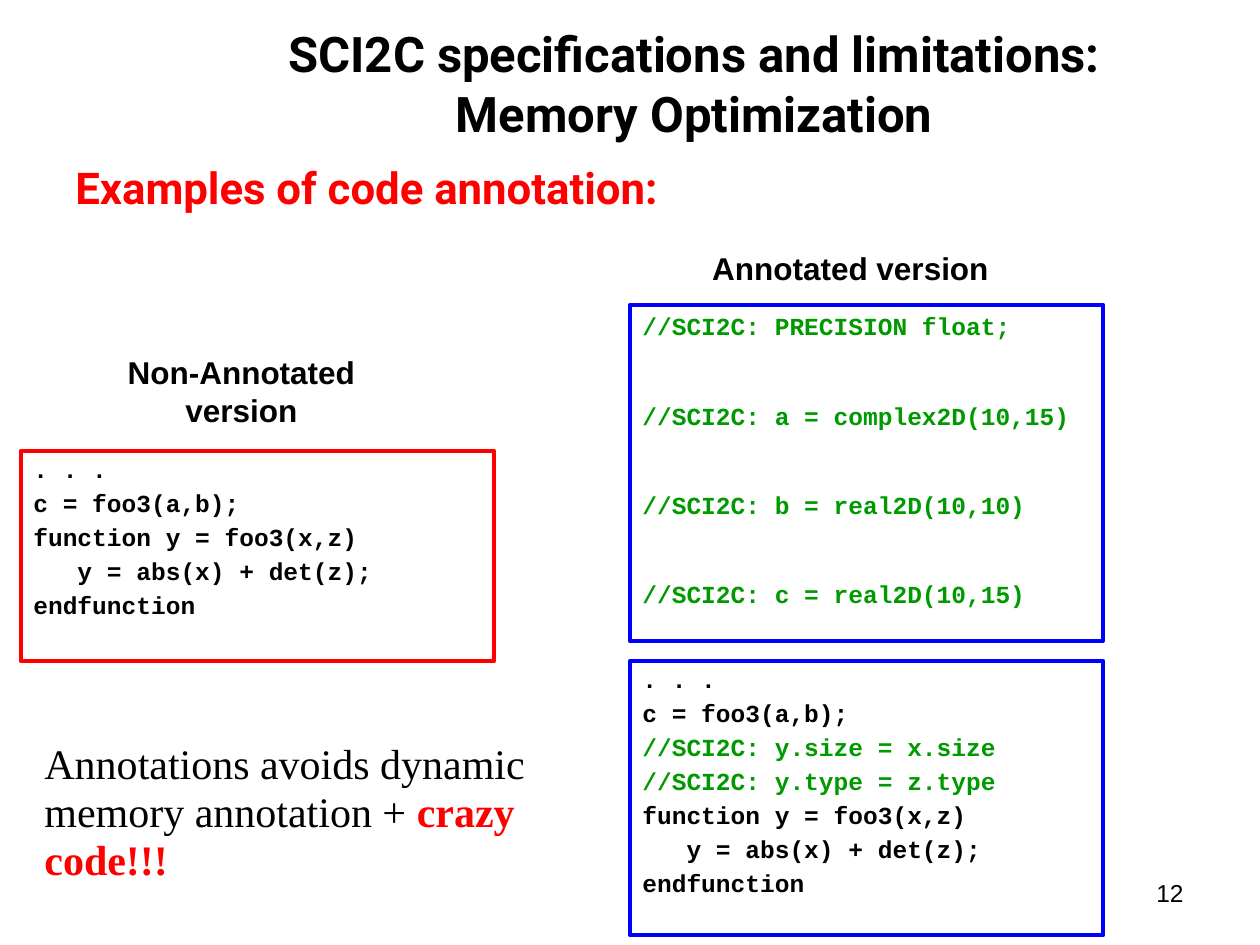
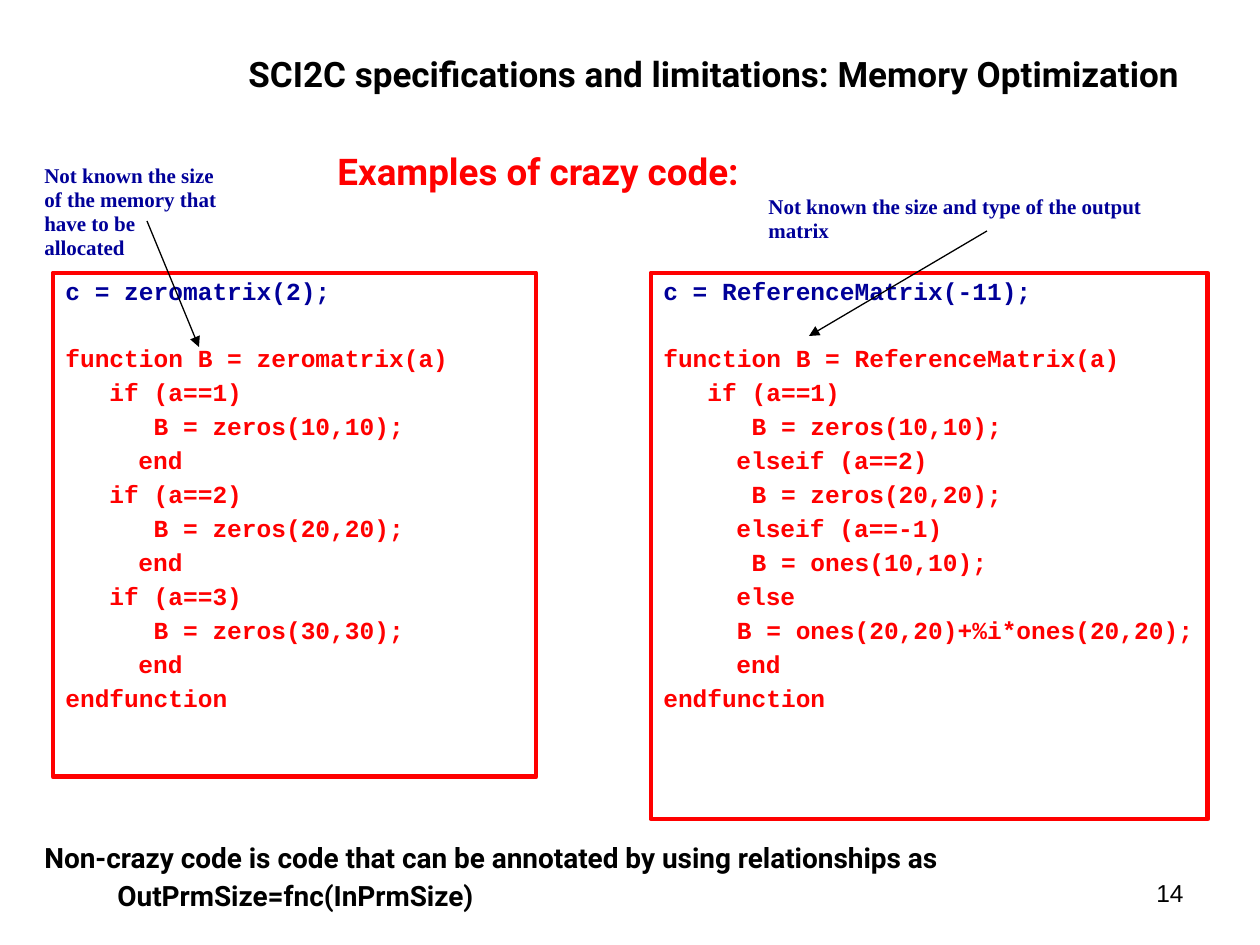
import dataclasses

import lxml.etree
import pptx
import pptx.dml.color
import pptx.enum.shapes
import pptx.enum.text
import pptx.oxml.ns
import pptx.util

PX = 914400 / 126
ALIGN = pptx.enum.text.PP_ALIGN
ANCHOR = pptx.enum.text.MSO_ANCHOR


@dataclasses.dataclass(frozen=True)
class Theme:
    black: str = "000000"
    red: str = "FF0000"
    blue: str = "0000FF"
    navy: str = "000099"
    green: str = "009900"
    heading_font: str = "Roboto"
    label_font: str = "Arial"
    code_font: str = "Courier New"
    note_font: str = "Times New Roman"
    code_size: int = 14
    number_size: int = 14
    label_size: int = 18
    callout_size: int = 12
    remark_size: int = 24
    summary_size: int = 16
    border: float = 2.75
    arrow: float = 0.75


THEME = Theme()

CODE = dict(font=THEME.code_font, size=THEME.code_size, bold=True,
            hanging=73, spacing=0.9, gap=4.35, skip=23)
DECLARATIONS = {**CODE, "hanging": 48, "spacing": 1.01, "gap": 34}
HEADING = dict(font=THEME.heading_font, bold=True, hanging=73, spacing=1.15)
LABEL = dict(font=THEME.label_font, size=THEME.label_size, bold=True, align=ALIGN.CENTER)
CALLOUT = dict(font=THEME.note_font, size=THEME.callout_size, bold=True,
               color=THEME.navy, spacing=0.95)

TITLE = "SCI2C specifications and limitations: Memory Optimization"
CALL = [". . .", "c = foo3(a,b);"]
FUNCTION = ["function y = foo3(x,z)", "   y = abs(x) + det(z);", "endfunction"]
SIZE_RULES = ["//SCI2C: y.size = x.size", "//SCI2C: y.type = z.type"]

# An empty string in a code listing widens the gap above the next line.
SLIDES = [
    dict(
        number="12",
        title=dict(box=(212, 9, 964, 147), size=28),
        heading=dict(text="Examples of code annotation:", box=(63, 147, 1144, 683), size=25),
        listings=[
            dict(box=(630, 305, 473, 336), border=THEME.blue, width=2.5, style=DECLARATIONS,
                 lines=["//SCI2C: PRECISION float;",
                        "//SCI2C: a = complex2D(10,15)",
                        "//SCI2C: b = real2D(10,10)",
                        "//SCI2C: c = real2D(10,15)"]),
            dict(box=(630, 661, 473, 274), border=THEME.blue,
                 lines=CALL + SIZE_RULES + FUNCTION),
            dict(box=(21, 451, 473, 210), border=THEME.red, lines=CALL + FUNCTION),
        ],
        notes=[
            ("Annotated version", (693, 243, 315, 50), LABEL),
            ("Non-Annotated version", (84, 347, 315, 88), LABEL),
            ([("Annotations avoids dynamic memory annotation + ", {}),
              ("crazy code!!!", dict(color=THEME.red, bold=True))],
             (32, 735, 525, 156),
             dict(font=THEME.note_font, size=THEME.remark_size, spacing=0.95)),
        ],
        arrows=[],
    ),
    dict(
        number="14",
        title=dict(box=(189, 9, 1050, 128), size=20),
        heading=dict(text="Examples of crazy code:", box=(325, 136, 525, 73), size=21),
        listings=[
            dict(box=(53, 273, 483, 504), border=THEME.red, color=THEME.red,
                 lines=["c = zeromatrix(2);",
                        "",
                        "function B = zeromatrix(a)",
                        "   if (a==1)",
                        "      B = zeros(10,10);",
                        "\tend",
                        "   if (a==2)",
                        "      B = zeros(20,20);",
                        "\tend",
                        "   if (a==3)",
                        "      B = zeros(30,30);",
                        "\tend",
                        "endfunction"]),
            dict(box=(651, 273, 557, 546), border=THEME.red, color=THEME.red,
                 lines=["c = ReferenceMatrix(-11);",
                        "",
                        "function B = ReferenceMatrix(a)",
                        "   if (a==1)",
                        "      B = zeros(10,10);",
                        "\telseif (a==2)",
                        "      B = zeros(20,20);",
                        "\telseif (a==-1)",
                        "      B = ones(10,10);",
                        "\telse",
                        "     B = ones(20,20)+%i*ones(20,20);",
                        "\tend",
                        "endfunction"]),
        ],
        notes=[
            ("Non-crazy code is code that can be annotated by using relationships as "
             "OutPrmSize=fnc(InPrmSize)", (32, 829, 1197, 95),
             {**HEADING, "size": THEME.summary_size}),
            ("Not known the size and type of the output matrix", (756, 189, 410, 61), CALLOUT),
            ("Not known the size of the memory that have to be allocated",
             (32, 158, 199, 108), CALLOUT),
        ],
        arrows=[((987, 231), (809, 336)), ((147, 221), (199, 347))],
    ),
]


def emu(*pixels):
    return [pptx.util.Emu(round(value * PX)) for value in pixels]


def rgb(color):
    return pptx.dml.color.RGBColor.from_string(color)


def set_hanging(paragraph, hanging):
    """Hang the first line and put a tab stop at the indent."""
    properties = paragraph._p.get_or_add_pPr()
    distance = emu(hanging)[0]
    properties.set("marL", str(distance))
    properties.set("indent", str(-distance))
    tabs = lxml.etree.SubElement(properties, pptx.oxml.ns.qn("a:tabLst"))
    lxml.etree.SubElement(tabs, pptx.oxml.ns.qn("a:tab"), pos="0", algn="l")


def write_text(shape, content, *, font, size, color=THEME.black, bold=False,
               align=ALIGN.LEFT, anchor=ANCHOR.TOP, spacing=1.0, hanging=0, gap=0, skip=0):
    """Fill a shape from a string, or a list of paragraphs made of (text, overrides) runs."""
    frame = shape.text_frame
    frame.word_wrap = True
    frame.vertical_anchor = anchor
    paragraphs = [[(content, {})]] if isinstance(content, str) else content
    paragraph, space = frame.paragraphs[0], 0
    for index, runs in enumerate(paragraphs):
        if not runs[0][0]:
            space = skip
            continue
        if index:
            paragraph = frame.add_paragraph()
        if hanging:
            set_hanging(paragraph, hanging)
        paragraph.alignment = align
        paragraph.line_spacing = spacing
        paragraph.space_before = pptx.util.Pt(space)
        space = gap
        for text, overrides in runs:
            run = paragraph.add_run()
            run.text = text
            run.font.name = font
            run.font.size = pptx.util.Pt(size)
            run.font.bold = overrides.get("bold", bold)
            run.font.color.rgb = rgb(overrides.get("color", color))


def add_text(slide, content, box, **style):
    write_text(slide.shapes.add_textbox(*emu(*box)), content, **style)


def code_color(index, line, color):
    if line.startswith("//"):
        return THEME.green
    if color and index == 0:
        return THEME.navy
    return color or THEME.black


def add_listing(slide, box, border, lines, color=None, width=THEME.border, style=CODE):
    shape = slide.shapes.add_shape(pptx.enum.shapes.MSO_SHAPE.RECTANGLE, *emu(*box))
    shape.shadow.inherit = False
    shape.fill.background()
    shape.line.color.rgb = rgb(border)
    shape.line.width = pptx.util.Pt(width)
    paragraphs = [[(line, dict(color=code_color(index, line, color)))]
                  for index, line in enumerate(lines)]
    write_text(shape, paragraphs, **style)


def add_arrow(slide, start, end):
    connector = slide.shapes.add_connector(
        pptx.enum.shapes.MSO_CONNECTOR.STRAIGHT, *emu(*start, *end))
    connector.line.color.rgb = rgb(THEME.black)
    connector.line.width = pptx.util.Pt(THEME.arrow)
    line = connector.line._get_or_add_ln()
    lxml.etree.SubElement(line, pptx.oxml.ns.qn("a:tailEnd"), type="triangle")
    lxml.etree.SubElement(connector._element.spPr, pptx.oxml.ns.qn("a:effectLst"))


def build_slide(presentation, page):
    slide = presentation.slides.add_slide(presentation.slide_layouts[6])
    add_text(slide, page["number"], (1021, 872, 175, 43), font=THEME.label_font,
             size=THEME.number_size, align=ALIGN.RIGHT)
    add_text(slide, TITLE, font=THEME.heading_font, bold=True, align=ALIGN.CENTER,
             anchor=ANCHOR.MIDDLE, spacing=1.01, **page["title"])
    heading = page["heading"]
    add_text(slide, heading["text"], heading["box"], size=heading["size"],
             color=THEME.red, **HEADING)
    for listing in page["listings"]:
        add_listing(slide, **listing)
    for content, box, style in page["notes"]:
        add_text(slide, content if isinstance(content, str) else [content], box, **style)
    for start, end in page["arrows"]:
        add_arrow(slide, start, end)


def main():
    presentation = pptx.Presentation()
    presentation.slide_width, presentation.slide_height = emu(1260, 945)
    for page in SLIDES:
        build_slide(presentation, page)
    presentation.save("out.pptx")


if __name__ == "__main__":
    main()
